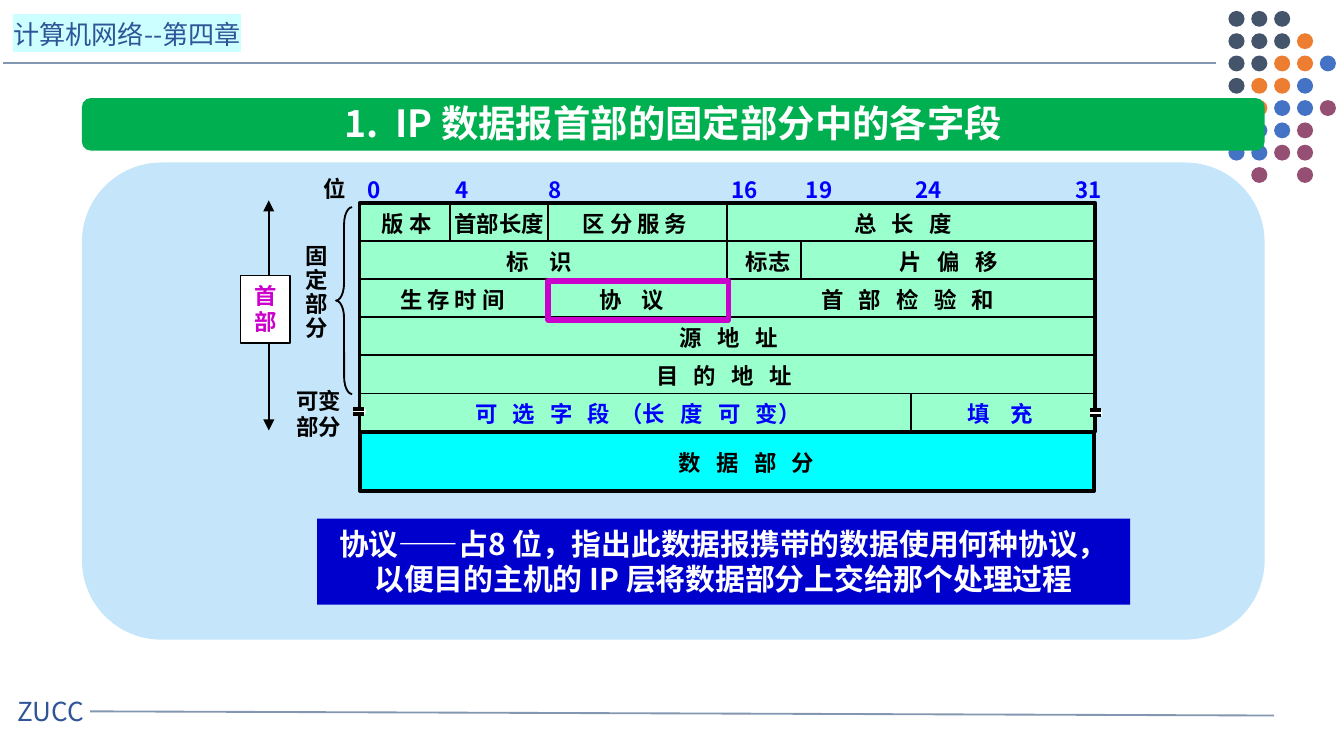
"""Build the slide on the fixed fields of the IP datagram header."""
from dataclasses import dataclass

from lxml.etree import SubElement
from pptx import Presentation
from pptx.dml.color import RGBColor
from pptx.enum.shapes import MSO_CONNECTOR as Connector, MSO_SHAPE as Preset
from pptx.enum.text import MSO_ANCHOR as Anchor, MSO_AUTO_SIZE as AutoSize, PP_ALIGN as Align
from pptx.oxml import parse_xml
from pptx.oxml.ns import qn
from pptx.util import Inches, Pt

FONT = "Noto Sans CJK SC"
BLACK, WHITE, BLUE, MAGENTA, SLATE = "000000", "FFFFFF", "0000FF", "CC00CC", "8497B0"
NAVY, MINT = "2F5597", "99FFCC"
SLIDE_W, SLIDE_H = Inches(10), Inches(10 * 9 / 16)
TOP, ROW, LABEL_H = 26.85, 5.04, 5.34
EDGES = {0: 26.75, 4: 33.5, 8: 40.8, 16: 54.1, 19: 59.6, 24: 67.8, 32: 81.5}
DOTS = ["SSS", "SSSO", "SSOOB", "SOOB", ".OBBP", ".BBP", "BBPP", ".P.P"]
DOT_COLORS = {"S": "44546A", "O": "ED7D31", "B": "4472C4", "P": "954F72"}


@dataclass
class Box:
    """A rectangle in percent of the slide's width and height."""
    left: float
    top: float
    width: float
    height: float

    def emu(self) -> tuple[int, int, int, int]:
        """Return left, top, width and height as lengths."""
        return (*point(self.left, self.top), *point(self.width, self.height))


@dataclass
class Field:
    """A header field spanning two bit edges, its label shifted by nudge."""
    row: int
    start: int
    end: int
    label: str
    nudge: float = 0
    color: str = BLACK


@dataclass
class BitMark:
    """A bit number centred at a share of the slide's width."""
    center: float
    number: str


FIELDS = [
    Field(0, 0, 4, "版 本", 0.15),
    Field(0, 4, 8, "首部长度"),
    Field(0, 8, 16, "区 分 服 务", -0.2),
    Field(0, 16, 32, "总   长   度", -0.6),
    Field(1, 0, 16, "标    识", -0.3),
    Field(1, 16, 19, "标志", 0.3),
    Field(1, 19, 32, "片   偏   移", 0.05),
    Field(2, 0, 8, "生 存 时 间", -0.1),
    Field(2, 8, 16, "协    议", -0.45),
    Field(2, 16, 32, "首   部   检   验   和", -0.25),
    Field(3, 0, 32, "源   地   址", 0.1),
    Field(4, 0, 32, "目   的   地   址", -0.25),
    Field(5, 0, 24, "可   选   字   段  （长   度   可   变）", 0.2, BLUE),
    Field(5, 24, 32, "填    充", -0.2, BLUE),
]
BIT_MARKS = [BitMark(27.85, "0"), BitMark(34.35, "4"), BitMark(41.3, "8"), BitMark(55.4, "16"),
             BitMark(60.95, "19"), BitMark(69.1, "24"), BitMark(81, "31")]


def point(x: float, y: float) -> tuple[int, int]:
    """Turn slide percentages into lengths."""
    return round(SLIDE_W * x / 100), round(SLIDE_H * y / 100)


def rgb(color: str) -> RGBColor:
    """Turn a hex string into a colour."""
    return RGBColor.from_string(color)


def row_top(row: int) -> float:
    """Return the top of a header row."""
    return TOP + ROW * row


def write(shape, text: str, size: float, color: str, align=Align.CENTER, bold=True,
          pitch=None, highlight=None) -> None:
    """Fill a shape with formatted lines of text."""
    frame = shape.text_frame
    settings = {"word_wrap": False, "auto_size": AutoSize.NONE, "vertical_anchor": Anchor.MIDDLE,
                "margin_left": Inches(0.1), "margin_right": Inches(0.1),
                "margin_top": Inches(0.05), "margin_bottom": Inches(0.05)}
    for name, value in settings.items():
        setattr(frame, name, value)
    for index, line in enumerate(text.split("\n")):
        paragraph = frame.add_paragraph() if index else frame.paragraphs[0]
        paragraph.alignment = align
        if pitch:
            paragraph.line_spacing = Pt(pitch)
        run = paragraph.add_run()
        run.text = line
        for name, value in {"size": Pt(size), "bold": bold, "name": FONT}.items():
            setattr(run.font, name, value)
        run.font.color.rgb = rgb(color)
        props = run.font.fill._xPr
        latin = props.find(qn("a:latin"))
        if highlight:
            mark = SubElement(props, qn("a:highlight"))
            SubElement(mark, qn("a:srgbClr")).set("val", highlight)
            latin.addprevious(mark)
        east_asian = SubElement(props, qn("a:ea"))
        east_asian.set("typeface", FONT)
        latin.addnext(east_asian)


def add_label(shapes, box: Box, text: str, size=12.0, color=BLACK, **options) -> None:
    """Add a text box."""
    write(shapes.add_textbox(*box.emu()), text, size, color, **options)


def add_centered(shapes, center: float, top: float, text: str, color=BLACK) -> None:
    """Add a one-line label centred on a share of the width."""
    add_label(shapes, Box(center - 5, top, 10, LABEL_H), text, color=color)


def add_block(shapes, preset, box: Box, fill=None, line=None, weight=1.0, adjust=None):
    """Add a preset shape with plain fill and outline."""
    shape = shapes.add_shape(preset, *box.emu())
    shape.shadow.inherit = False
    if fill:
        shape.fill.solid()
        shape.fill.fore_color.rgb = rgb(fill)
    else:
        shape.fill.background()
    if line:
        shape.line.color.rgb = rgb(line)
        shape.line.width = Pt(weight)
    else:
        shape.line.fill.background()
    if adjust:
        shape.adjustments[0] = adjust
    return shape


def add_rule(shapes, x1: float, y1: float, x2: float, y2: float, color=BLACK, weight=1.0,
             arrows=False) -> None:
    """Add a straight line, with arrowheads at both ends if asked."""
    rule = shapes.add_connector(Connector.STRAIGHT, *point(x1, y1), *point(x2, y2))
    rule.line.color.rgb = rgb(color)
    rule.line.width = Pt(weight)
    if arrows:
        for end in ("a:headEnd", "a:tailEnd"):
            SubElement(rule.line._get_or_add_ln(), qn(end)).set("type", "triangle")
    rule._element.spPr.append(parse_xml(
        '<a:effectLst xmlns:a="http://schemas.openxmlformats.org/drawingml/2006/main"/>'))


def draw_frame(shapes) -> None:
    """Draw the running header, footer and corner dots."""
    add_rule(shapes, 0.2, 8.36, 90.5, 8.36, SLATE)
    add_rule(shapes, 6.7, 94.1, 94.8, 94.65, SLATE)
    running = {"size": 14, "color": NAVY, "align": Align.LEFT, "bold": False}
    add_label(shapes, Box(0.3, 91.05, 8.9, 6.05), "ZUCC", **running)
    add_label(shapes, Box(0, 1.42, 21.6, 6.05), "计算机网络--第四章", highlight="CCFFFF", **running)
    for row, dots in enumerate(DOTS):
        for column, key in enumerate(dots):
            if key in DOT_COLORS:
                add_block(shapes, Preset.OVAL, Box(91.4 + 1.7 * column, 1.45 + 2.95 * row, 1.2, 2.1),
                          DOT_COLORS[key])


def draw_header(shapes) -> None:
    """Draw the datagram header, its fields and the data part."""
    left, right = EDGES[0], EDGES[32]
    add_block(shapes, Preset.RECTANGLE, Box(left, TOP, right - left, 6 * ROW), MINT, BLACK, 2)
    add_block(shapes, Preset.RECTANGLE, Box(26.8, row_top(6), 54.6, 7.83), "00FFFF", BLACK, 2.25)
    for row in range(1, 6):
        add_rule(shapes, left, row_top(row), right, row_top(row))
    for field in FIELDS:
        start, end, top = EDGES[field.start], EDGES[field.end], row_top(field.row)
        if field.start:
            add_rule(shapes, start, top, start, top + ROW)
        add_centered(shapes, (start + end) / 2 + field.nudge, top, field.label, field.color)
    for mark in BIT_MARKS:
        add_centered(shapes, mark.center, 22.42, mark.number, BLUE)
    add_centered(shapes, 24.9, 22.24, "位")
    add_centered(shapes, 55.55, 58.5, "数   据   部   分")
    for x, y in ((26.3, 54.09), (81.1, 54.27)):
        add_block(shapes, Preset.RECTANGLE, Box(x, y, 0.9, 0.71), WHITE)
        for edge in (y, y + 0.71):
            add_rule(shapes, x, edge, x + 0.8, edge, weight=2)


def draw_parts(shapes) -> None:
    """Draw the brace, arrow and names of the header's parts."""
    add_label(shapes, Box(21.75, 31.4, 3.7, 14.77), "固\n定\n部\n分", pitch=12.9)
    add_label(shapes, Box(21, 50.36, 5.4, 8.9), "可变\n部分", pitch=14)
    add_block(shapes, Preset.LEFT_BRACE, Box(25, 27.4, 1.2, 24.73), line=BLACK, adjust=1.08)
    add_rule(shapes, 20, 26.51, 20, 56.94, arrows=True)
    whole = add_block(shapes, Preset.RECTANGLE, Box(17.9, 36.45, 3.7, 8.9), WHITE, BLACK)
    write(whole, "首\n部", 12, MAGENTA, pitch=14)


def main() -> None:
    """Build and save the slide."""
    deck = Presentation()
    deck.slide_width, deck.slide_height = SLIDE_W, SLIDE_H
    slide = deck.slides.add_slide(deck.slide_layouts[5])
    shapes, title = slide.shapes, slide.shapes.title
    draw_frame(shapes)
    bar = add_block(shapes, Preset.ROUNDED_RECTANGLE, Box(6.1, 12.98, 88, 6.94), "00B050", adjust=0.167)
    title.left, title.top, title.width, title.height = Box(23.7, 12.27, 52.8, 7.83).emu()
    write(title, "1.  IP 数据报首部的固定部分中的各字段", 20, WHITE)
    bar._element.addnext(title._element)
    add_block(shapes, Preset.ROUNDED_RECTANGLE, Box(6.1, 21.5, 88, 63.12), "C5E5FB")
    draw_header(shapes)
    draw_parts(shapes)
    callout = add_block(shapes, Preset.RECTANGLE, Box(23.6, 68.62, 60.5, 11.38), "0000CC")
    write(callout, "协议——占8 位，指出此数据报携带的数据使用何种协议，\n"
                   "以便目的主机的 IP 层将数据部分上交给那个处理过程", 16, WHITE, pitch=18.8)
    add_block(shapes, Preset.RECTANGLE, Box(EDGES[8], 37.16, 13.4, 5.16), line=MAGENTA, weight=3)
    deck.save("out.pptx")


if __name__ == "__main__":
    main()
